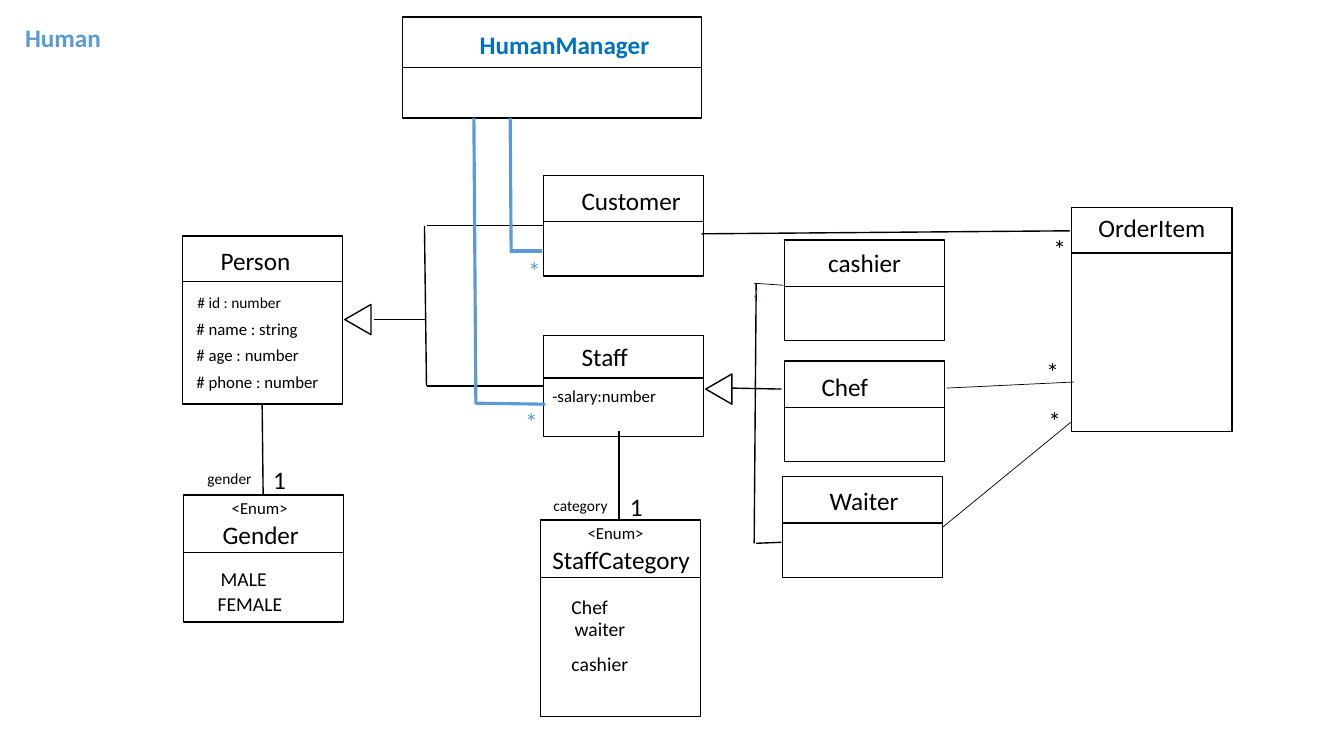
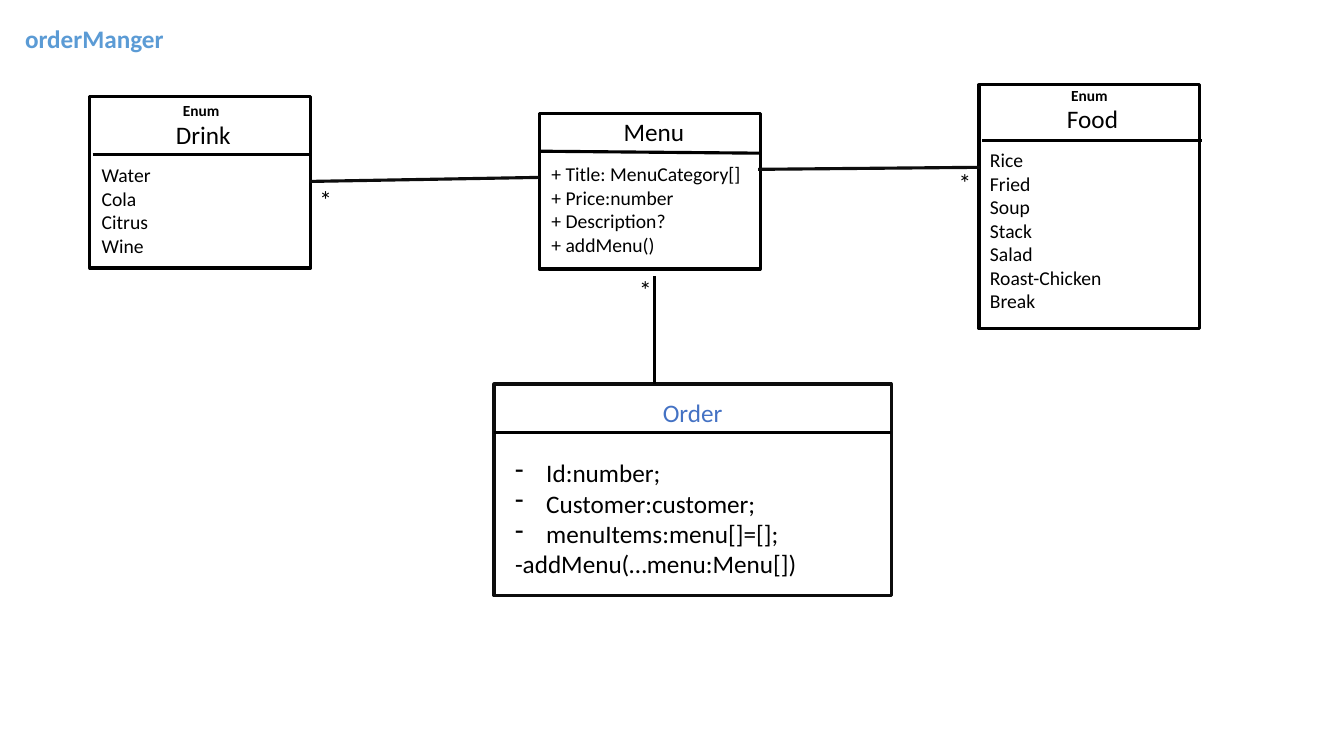
from lxml import etree
from pptx import Presentation
from pptx.dml.color import RGBColor
from pptx.enum.shapes import MSO_CONNECTOR, MSO_SHAPE
from pptx.enum.text import MSO_AUTO_SIZE, PP_ALIGN
from pptx.oxml.ns import qn
from pptx.util import Inches, Pt

STRAIGHT = MSO_CONNECTOR.STRAIGHT
RECT, TRIANGLE = MSO_SHAPE.RECTANGLE, MSO_SHAPE.ISOSCELES_TRIANGLE
LEFT, CENTER = PP_ALIGN.LEFT, PP_ALIGN.CENTER
GROW = MSO_AUTO_SIZE.SHAPE_TO_FIT_TEXT

FONT = "Calibri"
BLACK, INK, WHITE = "000000", "0D0D0D", "FFFFFF"
ACCENT, MANAGER, ORDER = "5B9BD5", "0070C0", "4472C4"
BOX_W, BOX_H = 1.59, 1
THICK = 2.25


def rgb(value):
    return RGBColor.from_string(value)


# Basic parts
def text(s, content, x, y, w, size=18, color=BLACK, bold=False,
         align=LEFT, wrap=False, bullets=0):
    """Place lines of text; the first `bullets` lines get a dash."""
    lines = content.split("\n")
    h = 0.1 + len(lines) * size * 1.22 / 72
    tf = s.shapes.add_textbox(Inches(x), Inches(y), Inches(w), Inches(h)).text_frame
    tf.word_wrap, tf.auto_size = wrap, GROW
    for i, line in enumerate(lines):
        p = tf.paragraphs[0] if i == 0 else tf.add_paragraph()
        p.alignment = align
        r = p.add_run()
        r.text = line
        for key, value in {"name": FONT, "size": Pt(size), "bold": bold}.items():
            setattr(r.font, key, value)
        r.font.color.rgb = rgb(color)
        if i < bullets:
            pPr = p._p.get_or_add_pPr()
            pPr.set("marL", str(Inches(0.31)))
            pPr.set("indent", str(Inches(-0.31)))
            etree.SubElement(pPr, qn("a:buFontTx"))
            etree.SubElement(pPr, qn("a:buChar")).set("char", "-")


def line(s, x1, y1, x2, y2, color=BLACK, width=1):
    c = s.shapes.add_connector(STRAIGHT, Inches(x1), Inches(y1), Inches(x2), Inches(y2))
    c.line.color.rgb, c.line.width = rgb(color), Pt(width)
    etree.SubElement(c._element.spPr, qn("a:effectLst"))


def outline(s, kind, x, y, w, h, color=BLACK, width=1):
    sp = s.shapes.add_shape(kind, Inches(x), Inches(y), Inches(w), Inches(h))
    sp.shadow.inherit = False
    sp.fill.solid()
    sp.fill.fore_color.rgb = rgb(WHITE)
    sp.line.color.rgb, sp.line.width = rgb(color), Pt(width)
    return sp


def inherit_head(s, x, y):
    """Hollow arrowhead pointing left, with its tip at (x, y)."""
    w, h = 0.3, 0.26
    outline(s, TRIANGLE, x + (h - w) / 2, y - h / 2, w, h).rotation = 270


# Class box: labels and divider are placed from its top left corner
def class_box(s, x, y, labels, w=BOX_W, h=BOX_H, divider=0.46, inset=(0, 0),
              drop=0, color=BLACK, width=1):
    outline(s, RECT, x, y, w, h, color, width)
    line(s, x + inset[0], y + divider, x + w + inset[1], y + divider + drop,
         width=width)
    for content, dx, dy, label_w, style in labels:
        text(s, content, x + dx, y + dy, label_w, **style)


def list_box(s, x, y, h, name, name_at, items, items_at, enum_at=None, w=2.19, **box):
    labels = [(name, *name_at, w, NAME), (items, *items_at, w, ITEMS)]
    if enum_at:
        labels.append(("Enum", *enum_at, w, ENUM_TAG))
    class_box(s, x, y, labels, w=w, h=h, width=THICK, **box)


def new_slide(prs, title, y, w):
    s = prs.slides.add_slide(prs.slide_layouts[6])
    text(s, title, 0.15, y, w, color=ACCENT, bold=True)
    return s


PLAIN, SMALL, MEDIUM, TINY = {}, {"size": 12}, {"size": 14}, {"size": 11}
NAME = {"align": CENTER, "wrap": True}
ITEMS = {"size": 14, "wrap": True}
ENUM_TAG = {"size": 11, "bold": True, "align": CENTER, "wrap": True}


# Slide 1: people
def human_slide(prs):
    s = new_slide(prs, "Human", 0.17, 0.96)

    # Classes
    class_box(s, 3.99, 0.17, [("HumanManager", 0.67, 0.07, 1.9,
                               {"color": MANAGER, "bold": True})],
              w=2.97, divider=0.5)
    class_box(s, 1.81, 2.34, [
        ("Person", 0.28, 0.04, 0.9, PLAIN),
        ("# id : number", 0.05, 0.52, 1.03, TINY),
        ("# name : string", 0.04, 0.77, 1.22, SMALL),
        ("# age : number", 0.04, 1.03, 1.23, SMALL),
        ("# phone : number", 0.04, 1.3, 1.42, SMALL)], h=1.67, divider=0.45)
    class_box(s, 5.39, 1.74, [("Customer", 0.28, 0.05, 1.2, PLAIN)])
    class_box(s, 5.39, 3.33, [
        ("Staff", 0.28, 0.01, 0.67, PLAIN),
        ("-salary:number", -0.01, 0.45, 1.24, SMALL)], divider=0.42)
    class_box(s, 7.78, 2.38, [("cashier", 0, 0.02, BOX_W, NAME)])
    class_box(s, 7.78, 3.58, [("Chef", 0.27, 0.05, 0.67, PLAIN)])
    class_box(s, 7.76, 4.73, [("Waiter", 0.37, 0.04, 0.89, PLAIN)])
    class_box(s, 10.63, 2.06, [("OrderItem", 0, 0, BOX_W, NAME)], h=2.22, divider=0.45)

    # Enumerations
    class_box(s, 1.82, 4.91, [
        ("<Enum>", 0.38, -0.02, 0.76, SMALL),
        ("Gender", 0.29, 0.19, 0.97, PLAIN),
        ("MALE", 0.27, 0.66, 0.66, MEDIUM),
        ("FEMALE", 0.24, 0.91, 0.85, MEDIUM)], h=1.26, divider=0.57)
    class_box(s, 5.36, 5.16, [
        ("<Enum>", 0.37, -0.02, 0.76, SMALL),
        ("StaffCategory", 0.02, 0.19, 1.58, PLAIN),
        ("Chef", 0.21, 0.69, 1, ITEMS),
        ("waiter", 0.24, 0.91, 0.71, MEDIUM),
        ("cashier", 0.21, 1.26, 0.77, MEDIUM)], h=1.95, divider=0.57)

    # Inheritance and enumeration links
    inherit_head(s, 3.42, 3.17)
    inherit_head(s, 7, 3.86)
    for ends in [(3.71, 3.17, 4.22, 3.17), (4.23, 3.83, 4.21, 2.24),
                 (4.24, 2.24, 5.39, 2.24), (4.24, 3.83, 5.39, 3.83),
                 (7.25, 3.85, 7.75, 3.86), (7.48, 5.39, 7.5, 2.81),
                 (7.5, 5.39, 7.75, 5.38), (6.96, 2.32, 10.61, 2.29),
                 (2.61, 4.91, 2.6, 4.02), (6.14, 5.16, 6.14, 4.28)]:
        line(s, *ends)

    # Thin links
    line(s, 7.51, 2.88, 7.48, 2.95, ACCENT, 0.5)
    for ends in [(7.48, 2.81, 7.77, 2.83), (9.39, 3.85, 10.65, 3.79),
                 (9.35, 5.23, 10.62, 4.19)]:
        line(s, *ends, width=0.5)

    # Manager links
    for ends in [(5.07, 2.51, 5.06, 1.17), (5.38, 2.49, 5.06, 2.49),
                 (4.72, 4.01, 4.7, 1.17), (5.41, 4.01, 4.72, 4)]:
        line(s, *ends, ACCENT, THICK)

    # Multiplicities and roles
    for mark, x, y, color in [("*", 10.35, 2.27, BLACK), ("*", 10.28, 3.49, BLACK),
                              ("*", 10.3, 3.97, BLACK), ("*", 5.14, 2.48, ACCENT),
                              ("*", 5.11, 3.98, ACCENT), ("1", 2.61, 4.56, BLACK),
                              ("1", 6.15, 4.82, BLACK)]:
        text(s, mark, x, y, 0.33, color=color)
    text(s, "gender", 1.96, 4.6, 0.64, **TINY)
    text(s, "category", 5.39, 4.87, 0.75, **TINY)


# Slide 2: orders
def order_slide(prs):
    s = new_slide(prs, "orderManger", 0.18, 1.59)

    # Menu and its enumerations
    list_box(s, 9.71, 0.84, 2.42, "Food", (0.03, 0.14),
             "Rice\nFried\nSoup\nStack\nSalad\nRoast-Chicken\nBreak", (0.01, 0.58),
             enum_at=(0, -0.03), divider=0.55, inset=(0.03, 0.02))
    list_box(s, 0.89, 0.96, 1.7, "Drink", (0.03, 0.17),
             "Water\nCola\nCitrus\nWine", (0.02, 0.61),
             enum_at=(0.01, -0.01), divider=0.57, inset=(0.03, 0))
    list_box(s, 5.35, 1.13, 1.54, "Menu", (0.04, -0.03),
             "+ Title: MenuCategory[]\n+ Price:number\n+ Description?\n+ addMenu()",
             (0.02, 0.43), divider=0.37, drop=0.02)

    # Order
    class_box(s, 4.9, 3.81, [
        ("Order", 0, 0.08, 3.94, {**NAME, "color": ORDER}),
        ("Id:number;\nCustomer:customer;\nmenuItems:menu[]=[];\n"
         "-addMenu(…menu:Menu[])", 0.11, 0.68, 3.03, {"bullets": 3})],
        w=3.94, h=2.1, divider=0.48, color=INK, width=THICK)

    # Links and multiplicities
    line(s, 3.07, 1.8, 5.35, 1.76, INK, THICK)
    line(s, 7.52, 1.68, 9.72, 1.66, INK, THICK)
    line(s, 6.49, 2.74, 6.49, 3.81, BLACK, THICK)
    for x, y in [(9.41, 1.61), (3.07, 1.78), (6.24, 2.67)]:
        text(s, "*", x, y, 0.33)


prs = Presentation()
prs.slide_width, prs.slide_height = Inches(13.33), Inches(7.5)
human_slide(prs)
order_slide(prs)
prs.save("out.pptx")
